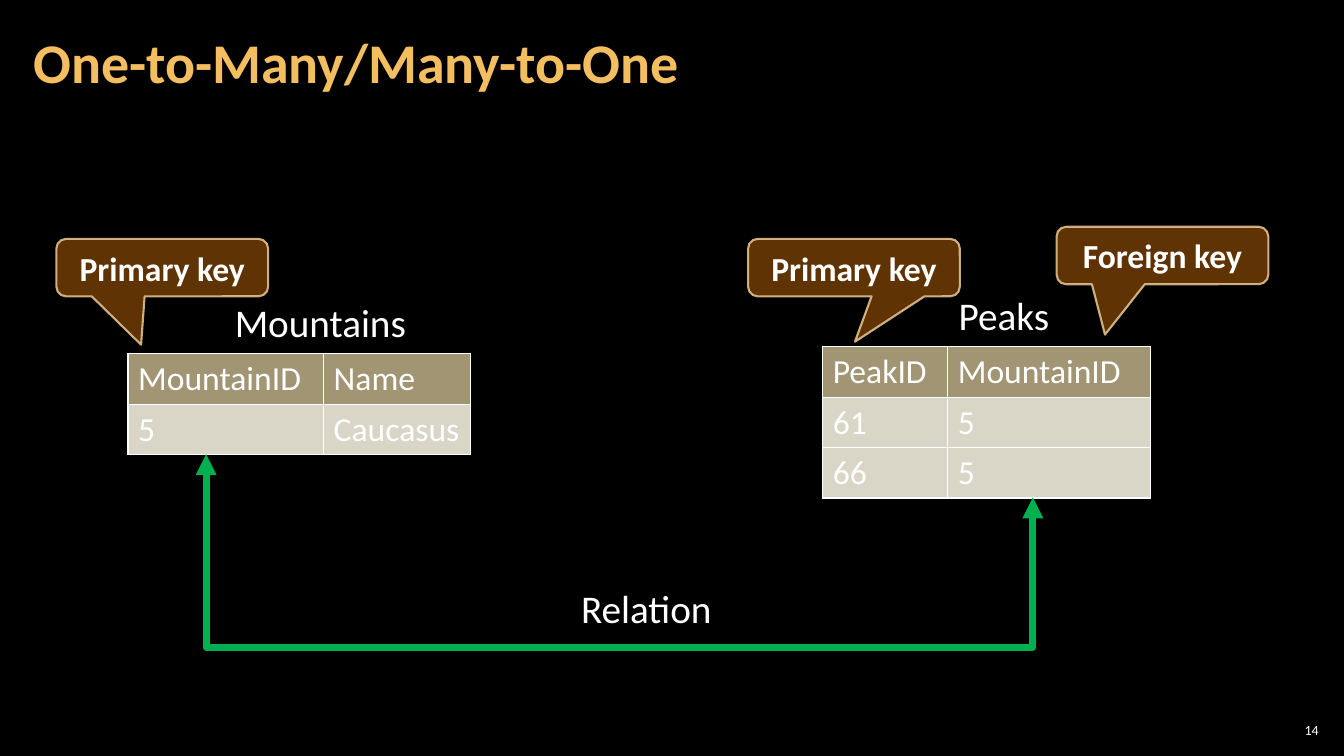
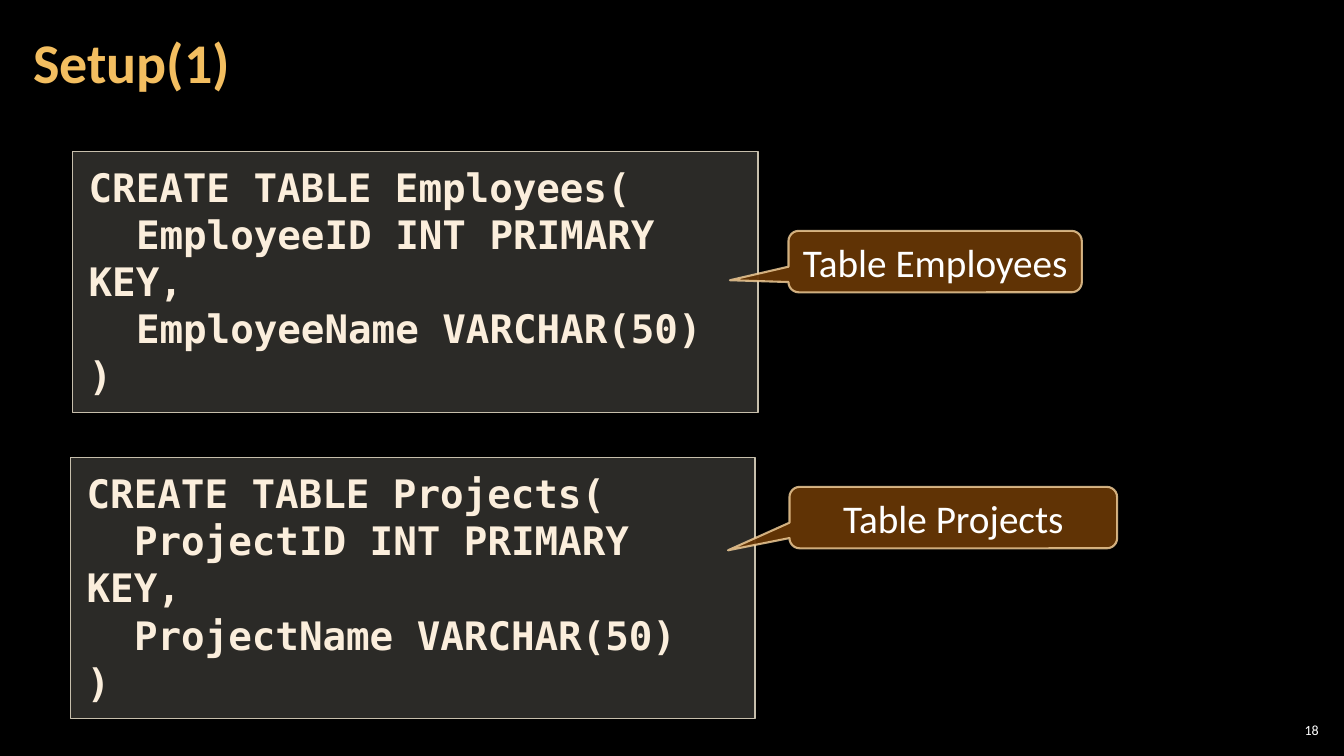
import lxml.etree
import pptx
import pptx.dml.color
import pptx.enum.shapes
import pptx.enum.text
import pptx.oxml.ns
import pptx.util

PX = 9144  # EMU: 100 px make one inch
SLIDE_SIZE = (1333, 750)

RGB = pptx.dml.color.RGBColor
BLACK = RGB(0x00, 0x00, 0x00)
WHITE = RGB(0xFF, 0xFF, 0xFF)
TITLE_GOLD = RGB(0xF3, 0xBE, 0x60)
HEADER_SAND = RGB(0xA1, 0x95, 0x74)
PANEL_GREY = RGB(0xD9, 0xD5, 0xC7)
PANEL_EDGE = RGB(0xC7, 0xBF, 0xAC)
CALLOUT_BROWN = RGB(0x66, 0x36, 0x06)
CALLOUT_EDGE = RGB(0xF8, 0xD4, 0x9E)
CODE_CREAM = RGB(0xFB, 0xEE, 0xDC)
RELATION_GREEN = RGB(0x00, 0xB0, 0x50)

BODY_FONT = "Calibri"
CODE_FONT = "DejaVu Sans Mono"
TITLE_TEXT = {"size": 40, "bold": True, "color": TITLE_GOLD}
NUMBER_TEXT = {"size": 10}
CELL_TEXT = {"size": 24}
KEY_TEXT = {"size": 24, "bold": True}
LABEL_TEXT = {"size": 28}
CODE_TEXT = {"size": 28, "bold": True, "name": CODE_FONT, "color": CODE_CREAM}

SHAPES = pptx.enum.shapes.MSO_SHAPE
ALIGN = pptx.enum.text.PP_ALIGN
ANCHOR = pptx.enum.text.MSO_ANCHOR
ROW_HEIGHT = 50
CODE_INDENT = 47
CODE_PITCH = 33.6


def emu(lengths):
    return [pptx.util.Emu(length * PX) for length in lengths]


def add_child(parent, tag, **attributes):
    child = lxml.etree.SubElement(parent, pptx.oxml.ns.qn(tag))
    for name, value in attributes.items():
        child.set(name, str(value))
    return child


def paint(fill, color, opacity=100):
    """Fill a shape, cell or line; opacity is a percentage."""
    fill.solid()
    fill.fore_color.rgb = color
    if opacity < 100:
        color_element = fill._xPr.find(".//" + pptx.oxml.ns.qn("a:srgbClr"))
        add_child(color_element, "a:alpha", val=opacity * 1000)


def format_run(run, text_format):
    settings = {"name": BODY_FONT, "bold": False, "color": WHITE, **text_format}
    settings["size"] = pptx.util.Pt(settings["size"])
    run.font.color.rgb = settings.pop("color")
    for name, value in settings.items():
        setattr(run.font, name, value)


def write(frame, lines, text_format, align=ALIGN.LEFT, anchor=ANCHOR.TOP,
          margins=(10, 5)):
    """Write one paragraph a line; margins are horizontal and vertical px."""
    horizontal, vertical = emu(margins)
    frame_format = {"word_wrap": True, "vertical_anchor": anchor,
                    "margin_left": horizontal, "margin_right": horizontal,
                    "margin_top": vertical, "margin_bottom": vertical}
    for name, value in frame_format.items():
        setattr(frame, name, value)
    for index, line in enumerate(lines):
        paragraph = frame.add_paragraph() if index else frame.paragraphs[0]
        paragraph.alignment = align
        run = paragraph.add_run()
        run.text = line
        format_run(run, text_format)


def add_label(slide, box, text, text_format=LABEL_TEXT, **layout):
    text_box = slide.shapes.add_textbox(*emu(box))
    write(text_box.text_frame, [text], text_format, **layout)
    return text_box


def add_panel(slide, kind, box, fill, edge, edge_width):
    """Fill and edge are pairs of colour and opacity."""
    shape = slide.shapes.add_shape(kind, *emu(box))
    shape.shadow.inherit = False
    paint(shape.fill, *fill)
    paint(shape.line.fill, *edge)
    shape.line.width = pptx.util.Pt(edge_width)
    return shape


def add_callout(slide, box, text, tip, text_format):
    """Tip is the pointer's end, in px from the box's top left corner."""
    shape = add_panel(slide, SHAPES.ROUNDED_RECTANGULAR_CALLOUT, box,
                      (CALLOUT_BROWN, 95), (CALLOUT_EDGE, 80), 1.5)
    for index, (offset, length) in enumerate(zip(tip, box[2:])):
        shape.adjustments[index] = offset / length - 0.5
    write(shape.text_frame, [text], text_format, ALIGN.CENTER, ANCHOR.MIDDLE)


def add_code(slide, box, lines):
    shape = add_panel(slide, SHAPES.RECTANGLE, box,
                      (PANEL_GREY, 20), (PANEL_EDGE, 100), 1)
    write(shape.text_frame, lines, CODE_TEXT, margins=(16, 12))
    paragraphs = shape.text_frame.paragraphs
    for paragraph in paragraphs:
        paragraph.line_spacing = pptx.util.Pt(CODE_PITCH)
    for paragraph in paragraphs[1:-1]:
        properties = paragraph._p.get_or_add_pPr()
        properties.set("marL", "0")
        properties.set("indent", str(CODE_INDENT * PX))


def style_cell(cell, text, fill):
    write(cell.text_frame, [text], CELL_TEXT)
    properties = cell._tc.get_or_add_tcPr()
    for side in ("a:lnL", "a:lnR", "a:lnT", "a:lnB"):
        border = add_child(properties, side, w=pptx.util.Pt(1))
        border_fill = add_child(border, "a:solidFill")
        add_child(border_fill, "a:srgbClr", val=WHITE)
    paint(cell.fill, *fill)


def add_entity(slide, left, top, column_widths, rows):
    size = (sum(column_widths), ROW_HEIGHT * len(rows))
    frame = slide.shapes.add_table(len(rows), len(column_widths),
                                   *emu((left, top, *size)))
    table = frame.table
    table.first_row = table.horz_banding = False
    for column, width in zip(table.columns, emu(column_widths)):
        column.width = width
    for row_index, row in enumerate(rows):
        table.rows[row_index].height = pptx.util.Emu(ROW_HEIGHT * PX)
        fill = (PANEL_GREY, 20) if row_index else (HEADER_SAND, 50)
        for column_index, text in enumerate(row):
            style_cell(table.cell(row_index, column_index), text, fill)


def add_relation(slide, start, end, bottom):
    """Join two points from below by an elbow that runs down to bottom."""
    (start_x, start_y), (end_x, end_y) = start, end
    run, rise = end_x - start_x, end_y - start_y
    left = (start_x + end_x - rise) // 2
    top = (start_y + end_y - run) // 2
    connector = slide.shapes.add_connector(
        pptx.enum.shapes.MSO_CONNECTOR.ELBOW,
        *emu((left, top, left + rise, top + run)))
    properties = connector._element.spPr
    # A quarter turn makes the elbow's outer legs vertical.
    properties.xfrm.set("rot", str(270 * 60000))
    properties.xfrm.set("flipH", "1")
    guides = properties.find(pptx.oxml.ns.qn("a:prstGeom")).get_or_add_avLst()
    depth = round((bottom - start_y) / rise * 100000)
    add_child(guides, "a:gd", name="adj1", fmla=f"val {depth}")
    paint(connector.line.fill, RELATION_GREEN)
    connector.line.width = pptx.util.Pt(5)
    line = connector.line._get_or_add_ln()
    for tag in ("a:headEnd", "a:tailEnd"):
        add_child(line, tag, type="triangle")
    add_child(properties, "a:effectLst")


def add_base_slide(presentation, title, number):
    slide = presentation.slides.add_slide(presentation.slide_layouts[6])
    paint(slide.background.fill, BLACK)
    add_label(slide, (1265, 714, 47, 21), number, NUMBER_TEXT,
              align=ALIGN.RIGHT, anchor=ANCHOR.MIDDLE, margins=(4, 4))
    title_box = add_label(slide, (21, 4, 1047, 121), title, TITLE_TEXT,
                          anchor=ANCHOR.MIDDLE, margins=(12, 4))
    title_box.text_frame.paragraphs[0].line_spacing = 0.9
    return slide


def build_relation_slide(presentation):
    slide = add_base_slide(presentation, "One-to-Many/Many-to-One", "14")
    add_entity(slide, 127, 351, (194, 146),
               [("MountainID", "Name"), ("5", "Caucasus")])
    add_label(slide, (223, 291, 192, 57), "Mountains")
    add_entity(slide, 816, 344, (124, 201),
               [("PeakID", "MountainID"), ("61", "5"), ("66", "5")])
    add_label(slide, (941, 284, 111, 57), "Peaks")
    for left, top, text, tip in (
            (56, 237, "Primary key", (84, 105)),
            (742, 237, "Primary key", (106, 102)),
            (1048, 225, "Foreign key", (48, 107))):
        add_callout(slide, (left, top, 210, 57), text, tip, KEY_TEXT)
    add_relation(slide, (205, 451), (1025, 494), 643)
    add_label(slide, (541, 575, 200, 57), "Relation", align=ALIGN.CENTER)


def build_setup_slide(presentation):
    slide = add_base_slide(presentation, "Setup(1)", "18")
    for code_box, callout_box, tip, entity in (
            ((72, 150, 680, 259), (782, 229, 291, 61), (-58, 49), "Employee"),
            ((70, 454, 679, 259), (783, 483, 325, 61), (-61, 63), "Project")):
        add_code(slide, code_box, [
            f"CREATE TABLE {entity}s(",
            f"{entity}ID INT PRIMARY KEY,",
            f"{entity}Name VARCHAR(50)",
            ")"])
        add_callout(slide, callout_box, f"Table {entity}s", tip, LABEL_TEXT)


def main():
    presentation = pptx.Presentation()
    presentation.slide_width, presentation.slide_height = emu(SLIDE_SIZE)
    build_relation_slide(presentation)
    build_setup_slide(presentation)
    presentation.save("out.pptx")


if __name__ == "__main__":
    main()
